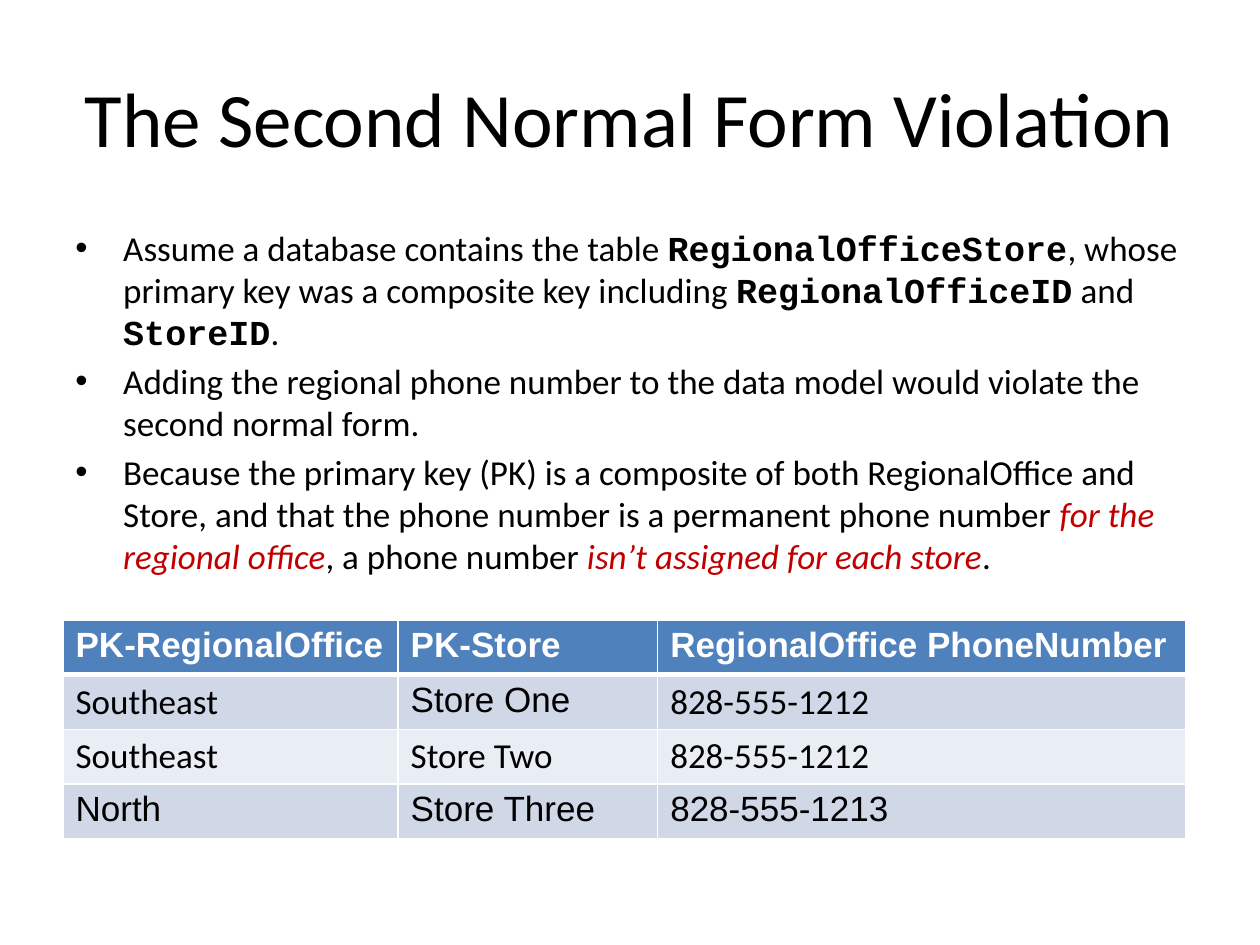
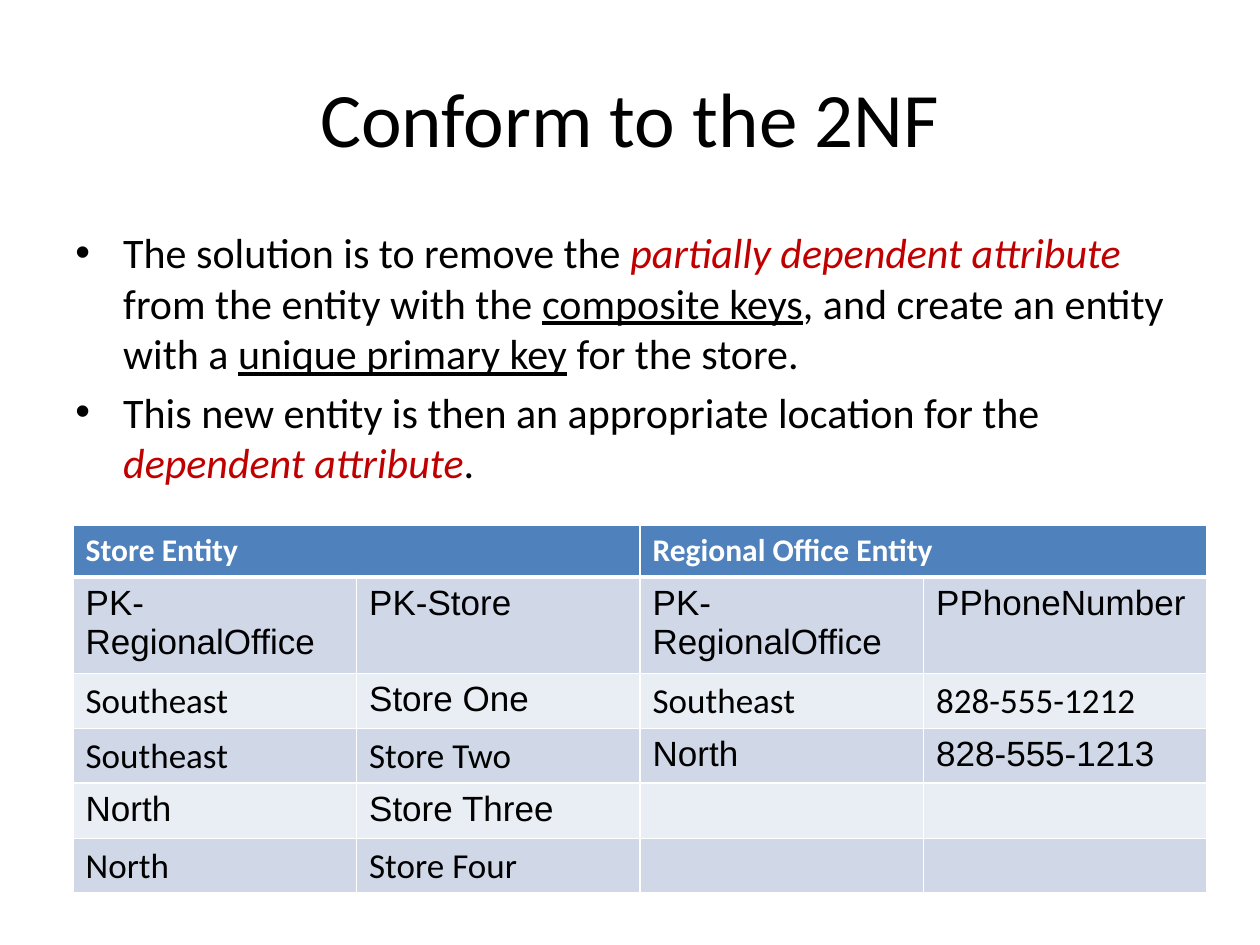
from dataclasses import dataclass

from lxml import etree
from pptx import Presentation
from pptx import util as u
from pptx.dml.color import RGBColor
from pptx.enum import text
from pptx.oxml import ns

BLACK = RGBColor(0x00, 0x00, 0x00)
WHITE = RGBColor(0xFF, 0xFF, 0xFF)
RED = RGBColor(0xC0, 0x00, 0x00)
HEADER_BLUE = RGBColor(0x4F, 0x81, 0xBD)
BANDS = (RGBColor(0xE9, 0xED, 0xF4), RGBColor(0xD0, 0xD8, 0xE8))

BODY_FONT, SANS_FONT, CODE_FONT = "Calibri", "Arial", "Courier New"
GRID_COLUMN, GRID_ROW = u.Inches(0.5), u.Inches(0.25)


@dataclass
class Words:
    content: str
    font: str = BODY_FONT
    color: RGBColor = BLACK
    bold: bool = False
    italic: bool = False
    underline: bool = False


def monospaced(content):
    return Words(content, font=CODE_FONT, bold=True)


def stress(content):
    return Words(content, color=RED, italic=True)


def underlined(content):
    return Words(content, underline=True)


def sans(content):
    return Words(content, font=SANS_FONT)


def heading(content, font=BODY_FONT):
    return Words(content, font=font, color=WHITE, bold=True)


class Deck:
    """Holds the shared style and the slide being filled; lengths are grid units."""

    def __init__(self):
        self.presentation = Presentation()
        self.presentation.slide_width = 20 * GRID_COLUMN
        self.presentation.slide_height = 30 * GRID_ROW
        self.slide = None

    def start_slide(self, title):
        layout = self.presentation.slide_layouts[6]
        self.slide = self.presentation.slides.add_slide(layout)
        frame = self.text_frame(1, 1.2, 18, 5)
        frame.vertical_anchor = text.MSO_ANCHOR.MIDDLE
        paragraph = frame.paragraphs[0]
        paragraph.alignment = text.PP_ALIGN.CENTER
        self.add_words(paragraph, [title], 44)

    @staticmethod
    def place(left, top, width, height):
        lengths = (left * GRID_COLUMN, top * GRID_ROW,
                   width * GRID_COLUMN, height * GRID_ROW)
        return [u.Emu(round(length)) for length in lengths]

    def text_frame(self, *area):
        frame = self.slide.shapes.add_textbox(*self.place(*area)).text_frame
        frame.word_wrap = True
        return frame

    @staticmethod
    def add_words(paragraph, pieces, size):
        """Add plain strings and styled Words as runs."""
        for piece in pieces:
            words = Words(piece) if isinstance(piece, str) else piece
            run = paragraph.add_run()
            run.text = words.content
            font = run.font
            font.size, font.name = u.Pt(size), words.font
            font.color.rgb = words.color
            font.bold, font.italic = words.bold, words.italic
            font.underline = words.underline

    def bullets(self, points, size, height):
        frame = self.text_frame(1, 7, 18, height)
        for index, pieces in enumerate(points):
            paragraph = frame.add_paragraph() if index else frame.paragraphs[0]
            properties = paragraph._p.get_or_add_pPr()
            indent = u.Inches(0.38)
            properties.set("marL", str(indent))
            properties.set("indent", str(-indent))
            if index:
                paragraph.space_before = u.Pt(0.2 * size)
            bullet_font = etree.SubElement(properties, ns.qn("a:buFont"))
            bullet_font.set("typeface", SANS_FONT)
            etree.SubElement(properties, ns.qn("a:buChar")).set("char", "•")
            self.add_words(paragraph, pieces, size)

    def table(self, left, top, widths, rows, header_size=20, tall_rows=()):
        """Draw a banded table; a None cell is covered by the one to its left."""
        area = self.place(left, top, sum(widths), 1.64 * len(rows))
        grid = self.slide.shapes.add_table(len(rows), len(widths), *area).table
        grid.first_row = grid.horz_banding = False
        for column, width in zip(grid.columns, widths):
            column.width = u.Emu(round(width * GRID_COLUMN))
        for r, row in enumerate(rows):
            grid.rows[r].height = u.Inches(0.44 if r in tall_rows else 0.41)
            for c, entry in enumerate(row):
                cell = grid.cell(r, c)
                cell.fill.solid()
                cell.fill.fore_color.rgb = BANDS[r % 2] if r else HEADER_BLUE
                self.border(cell, top=3 if r == 1 else 1, bottom=1 if r else 3)
                if entry is None:
                    grid.cell(r, c - 1).merge(cell)
                elif entry:
                    size = 20 if r else header_size
                    self.add_words(cell.text_frame.paragraphs[0], [entry], size)

    @staticmethod
    def border(cell, top, bottom):
        properties = cell._tc.get_or_add_tcPr()
        sides = (("lnL", 1), ("lnR", 1), ("lnT", top), ("lnB", bottom))
        for position, (side, points) in enumerate(sides):
            line = etree.Element(ns.qn("a:" + side), w=str(u.Pt(points)))
            fill = etree.SubElement(line, ns.qn("a:solidFill"))
            etree.SubElement(fill, ns.qn("a:srgbClr")).set("val", str(WHITE))
            properties.insert(position, line)


def violation_slide(deck):
    deck.start_slide("The Second Normal Form Violation")
    deck.bullets([
        ["Assume a database contains the table ",
         monospaced("RegionalOfficeStore"),
         ", whose primary key was a composite key including ",
         monospaced("RegionalOfficeID"), " and ", monospaced("StoreID"), "."],
        ["Adding the regional phone number to the data model would violate "
         "the second normal form."],
        ["Because the primary key (PK) is a composite of both RegionalOffice "
         "and Store, and that the phone number is a permanent phone number ",
         stress("for the regional office"), ", a phone number ",
         stress("isn’t assigned for each store"), "."],
    ], size=20, height=19.8)
    headers = ("PK-RegionalOffice", "PK-Store", "RegionalOffice PhoneNumber")
    deck.table(1, 19.68, (5.32, 4.12, 8.38), [
        [heading(name, SANS_FONT) for name in headers],
        ["Southeast", sans("Store One"), "828-555-1212"],
        ["Southeast", "Store Two", "828-555-1212"],
        [sans("North"), sans("Store Three"), sans("828-555-1213")],
    ])


def conforming_slide(deck):
    deck.start_slide("Conform to the 2NF")
    deck.bullets([
        ["The solution is to remove the ", stress("partially dependent attribute"),
         " from the entity with the ", underlined("composite keys"),
         ", and create an entity with a ", underlined("unique primary key"),
         " for the store."],
        ["This new entity is then an appropriate location for the ",
         stress("dependent attribute"), "."],
    ], size=24, height=9)
    keys = ("PK-RegionalOffice", "PK-Store", "PK-RegionalOffice", "PPhoneNumber")
    deck.table(1.16, 16.68, [4.5] * 4, [
        [heading("Store Entity"), None, heading("Regional Office Entity"), None],
        [sans(key) for key in keys],
        ["Southeast", sans("Store One"), "Southeast", "828-555-1212"],
        ["Southeast", "Store Two", sans("North"), sans("828-555-1213")],
        [sans("North"), sans("Store Three"), "", ""],
        ["North", "Store Four", "", ""],
    ], header_size=18, tall_rows=(4,))


def main():
    deck = Deck()
    violation_slide(deck)
    conforming_slide(deck)
    deck.presentation.save("out.pptx")


if __name__ == "__main__":
    main()
